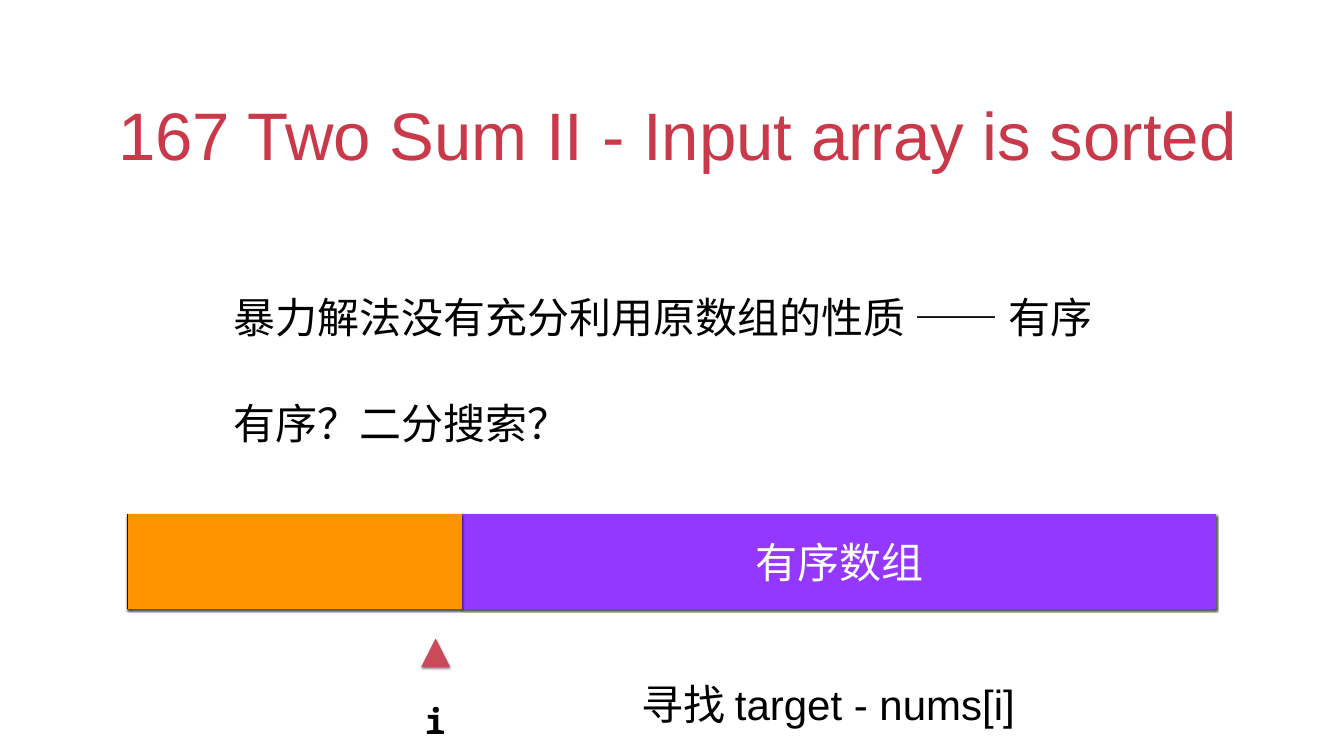
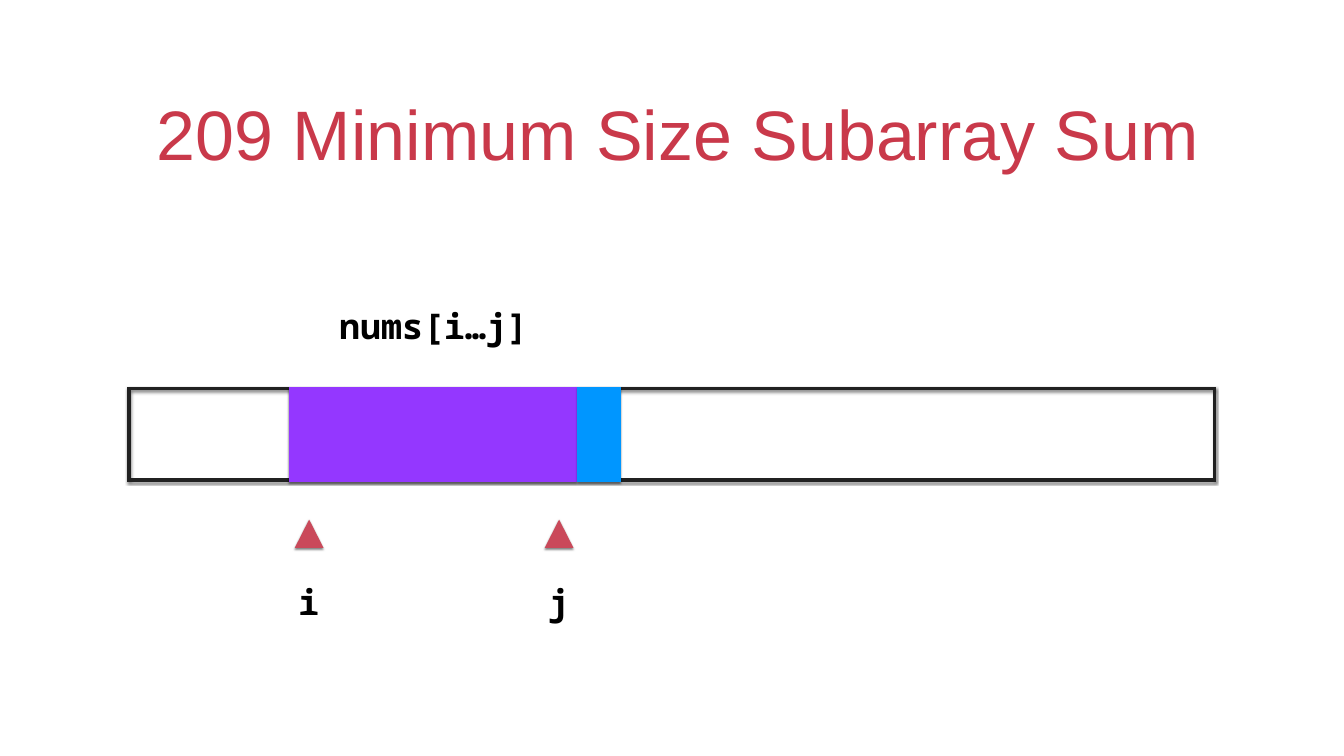
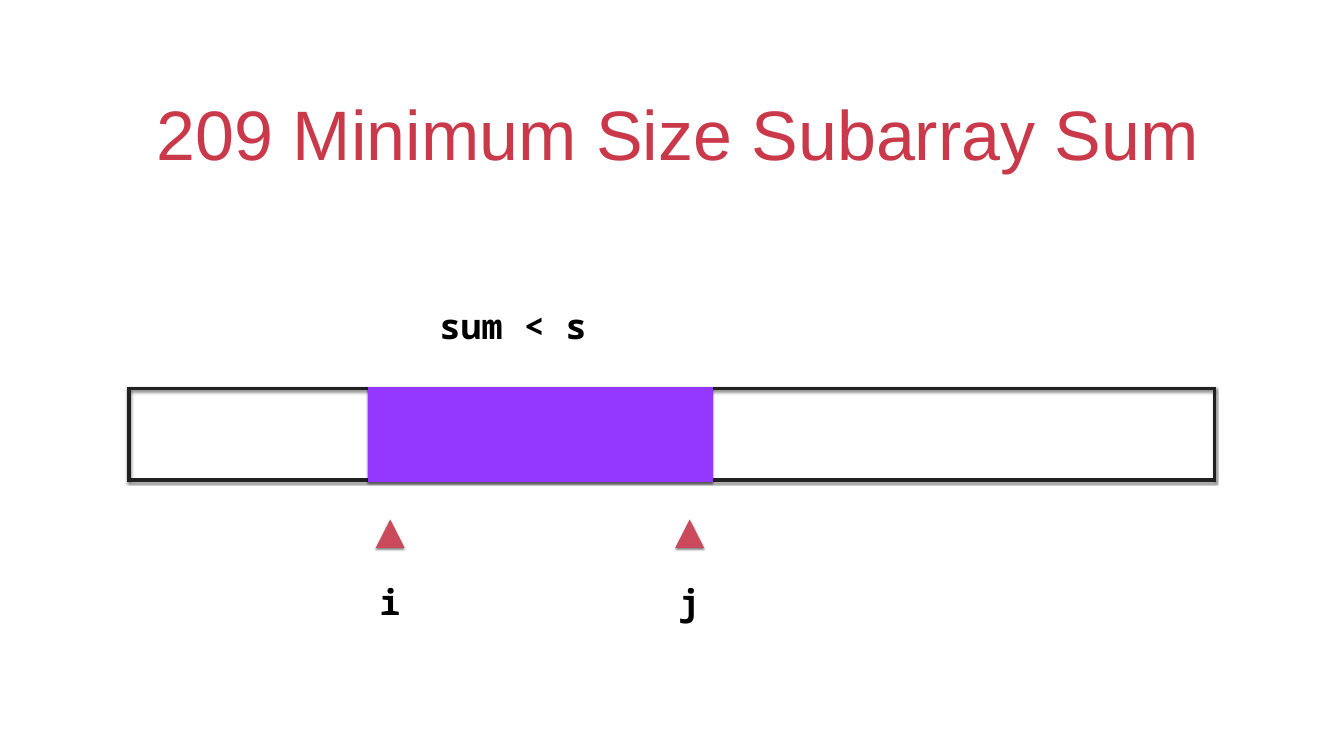
from lxml.etree import SubElement
from pptx import Presentation
from pptx.dml.color import RGBColor
from pptx.enum.shapes import MSO_SHAPE
from pptx.enum.text import MSO_ANCHOR, MSO_AUTO_SIZE, PP_ALIGN
from pptx.oxml.ns import qn
from pptx.util import Inches, Pt

COLORS = {
    "title": "C9394A",
    "text": "000000",
    "light": "FFFFFF",
    "frame": "212121",
    "window": "9437FF",
    "visited": "FF9300",
    "next": "0096FF",
    "pointer": "CA495A",
}
BODY_FONT = "Arial"
CODE_FONT = "Noto Sans Mono"
TITLE_BOX = (1.94, 1.3, 22.78, 2.22)
BAR_LEFT, BAR_WIDTH, BAR_HEIGHT = 2.56, 21.54, 1.81
SUBARRAY_BAR_TOP = 7.71
POINTER_WIDTH, POINTER_HEIGHT = 0.57, 0.56


def color(name):
    return RGBColor.from_string(COLORS[name])


def add_shadow(shape):
    effects = SubElement(shape._element.spPr, qn("a:effectLst"))
    shadow = SubElement(effects, qn("a:outerShdw"), blurRad=str(Pt(3)),
                        dist=str(Pt(2)), dir="5400000", rotWithShape="0")
    black = SubElement(shadow, qn("a:srgbClr"), val=COLORS["text"])
    SubElement(black, qn("a:alpha"), val="50000")


def write(shape, text, size, font=BODY_FONT, tone="text", bold=False,
          align=PP_ALIGN.CENTER, anchor=MSO_ANCHOR.MIDDLE):
    frame = shape.text_frame
    frame.margin_left = frame.margin_right = Inches(0.06)
    frame.margin_top = frame.margin_bottom = Inches(0.06)
    frame.vertical_anchor = anchor
    para = frame.paragraphs[0]
    para.alignment = align
    span = para.add_run()
    span.text = text
    span.font.size = Pt(size)
    span.font.name = font
    span.font.bold = bold
    span.font.color.rgb = color(tone)
    return para


def add_page(deck, title, size):
    page = deck.slides.add_slide(deck.slide_layouts[5])
    heading = page.shapes.title
    heading.left, heading.top, heading.width, heading.height = map(Inches, TITLE_BOX)
    para = write(heading, title, size, tone="title", anchor=MSO_ANCHOR.BOTTOM)
    para._p.get_or_add_pPr().set("indent", str(Inches(0.24)))
    heading.text_frame.word_wrap = True
    heading.text_frame.auto_size = MSO_AUTO_SIZE.NONE
    return page


def add_note(page, text, left, top, width):
    note = page.shapes.add_textbox(*map(Inches, (left, top, width, 1.28)))
    note.text_frame.word_wrap = True
    note.text_frame.auto_size = MSO_AUTO_SIZE.SHAPE_TO_FIT_TEXT
    write(note, text, 60, align=PP_ALIGN.LEFT).line_spacing = 1.5


def add_code(shapes, text, left, top, width):
    label = shapes.add_textbox(*map(Inches, (left, top, width, 0.92)))
    label.text_frame.word_wrap = False
    label.text_frame.auto_size = MSO_AUTO_SIZE.SHAPE_TO_FIT_TEXT
    write(label, text, 50, font=CODE_FONT, bold=True)


def add_block(page, left, top, width, line, fill=None):
    block = page.shapes.add_shape(
        MSO_SHAPE.RECTANGLE, *map(Inches, (left, top, width, BAR_HEIGHT)))
    if fill:
        block.fill.solid()
        block.fill.fore_color.rgb = color(fill)
    else:
        block.fill.background()
    block.line.color.rgb = color(line)
    block.line.width = Pt(5)
    SubElement(block.line._ln, qn("a:miter"), lim="400000")
    add_shadow(block)
    return block


def add_bar(page, top, segments):
    add_block(page, BAR_LEFT, top, BAR_WIDTH, "frame")
    for left, width, tone, text in segments:
        block = add_block(page, BAR_LEFT + left, top, width, tone, tone)
        if text:
            write(block, text, 60, tone="light")


def add_pointer(page, name, left, top):
    group = page.shapes.add_group_shape()
    builder = group.shapes.build_freeform(
        Inches(left + POINTER_WIDTH / 2), Inches(top))
    builder.add_line_segments([
        (Inches(left + POINTER_WIDTH), Inches(top + POINTER_HEIGHT)),
        (Inches(left), Inches(top + POINTER_HEIGHT)),
    ], close=True)
    triangle = builder.convert_to_shape()
    triangle.fill.solid()
    triangle.fill.fore_color.rgb = color("pointer")
    triangle.line.fill.background()
    add_shadow(triangle)
    add_code(group.shapes, name, left + 0.01, top + 1.16, 0.54)


def add_search_page(deck):
    page = add_page(deck, "167 Two Sum II - Input array is sorted", 96)
    add_note(page, "暴力解法没有充分利用原数组的性质 —— 有序", 4.57, 5.39, 17.53)
    add_note(page, "有序？二分搜索？", 4.57, 7.5, 17.53)
    add_bar(page, 10.23, [
        (6.64, 14.9, "window", "有序数组"),
        (0.01, 6.57, "visited", None),
    ])
    add_pointer(page, "i", 8.36, 12.67)
    add_note(page, "寻找 target - nums[i]", 12.67, 13.07, 7.96)


def add_subarray_page(deck, segments, caption, pointers):
    page = add_page(deck, "209 Minimum Size Subarray Sum", 100)
    add_bar(page, SUBARRAY_BAR_TOP, segments)
    text, left, width = caption
    add_code(page.shapes, text, left, SUBARRAY_BAR_TOP - 1.71, width)
    for name, position in pointers.items():
        add_pointer(page, name, position, SUBARRAY_BAR_TOP + 2.6)


def main():
    deck = Presentation()
    deck.slide_width, deck.slide_height = Inches(26.67), Inches(15)
    add_search_page(deck)
    add_subarray_page(
        deck,
        [(3.21, 5.64, "window", None), (8.93, 0.79, "next", None)],
        ("nums[i…j]", 6.66, 3.89),
        {"i": 5.85, "j": 10.81})
    add_subarray_page(
        deck,
        [(4.77, 6.78, "window", None)],
        ("sum < s", 8.66, 3.05),
        {"i": 7.46, "j": 13.4})
    deck.save("out.pptx")


if __name__ == "__main__":
    main()
